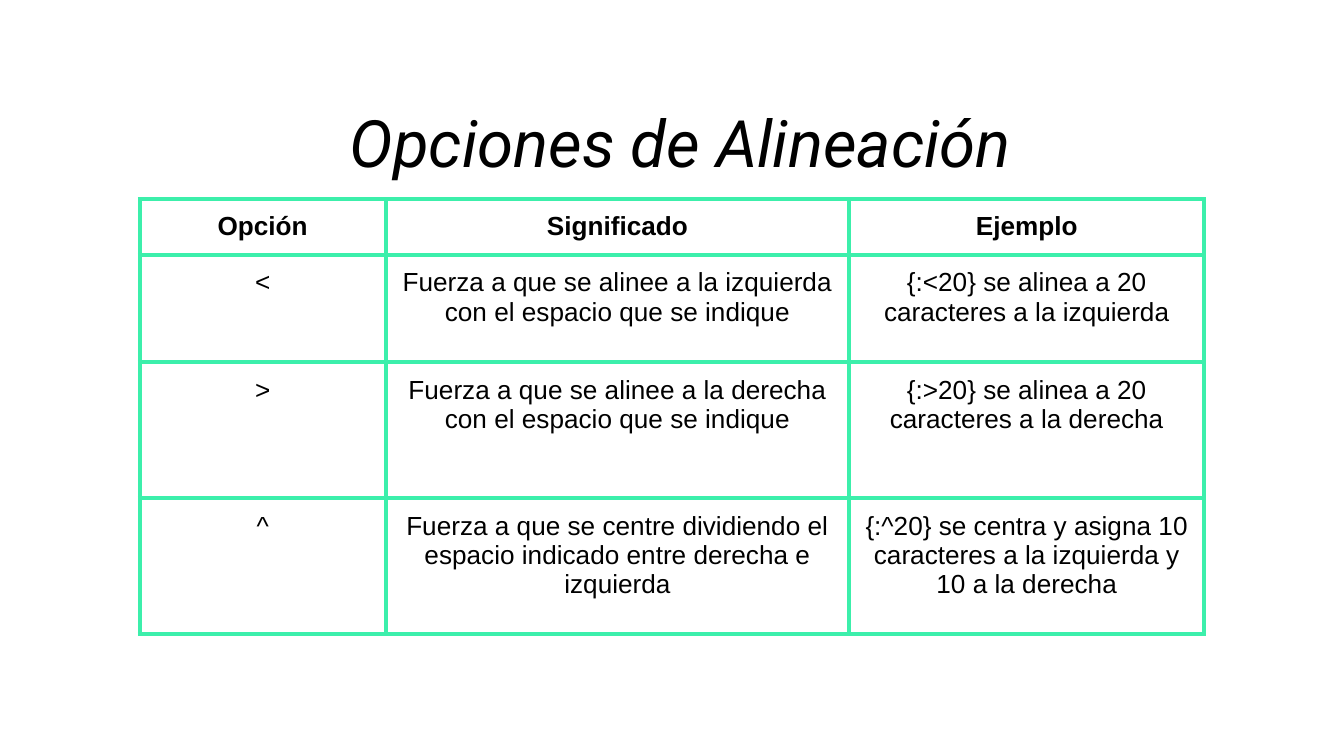
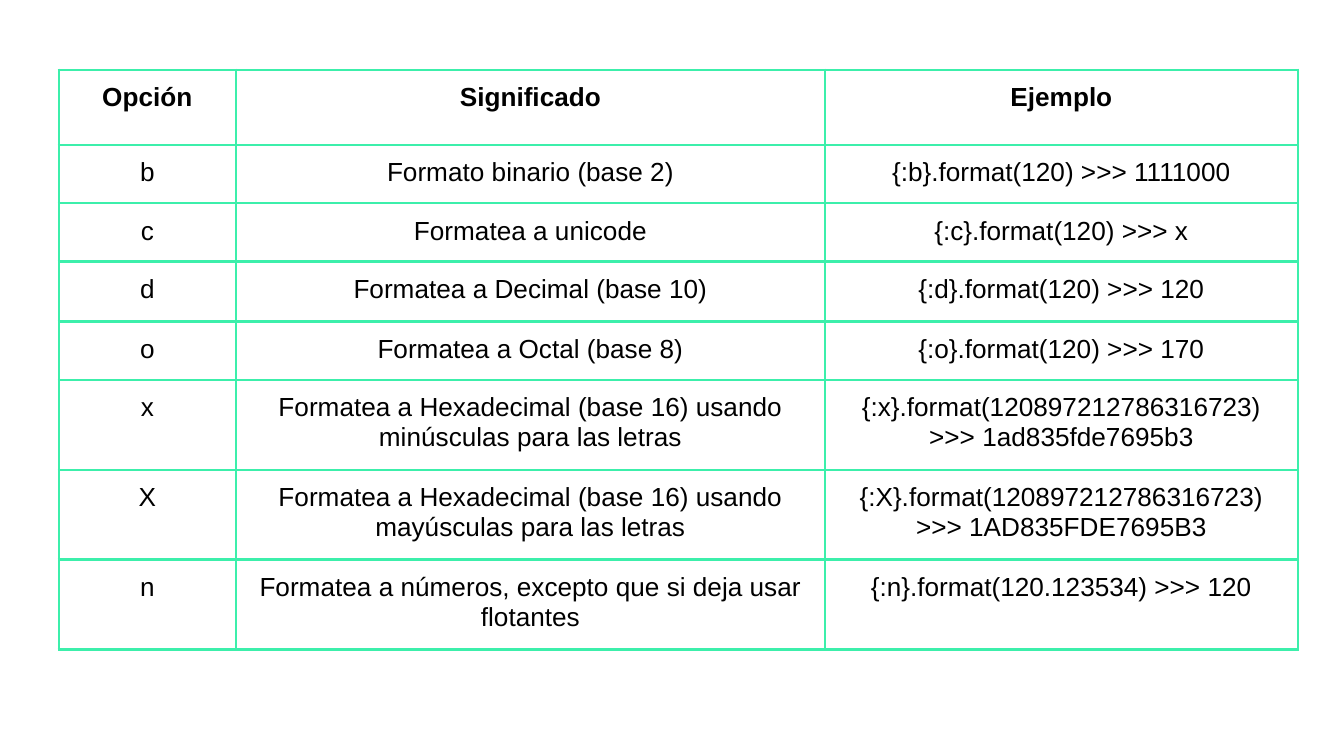
from dataclasses import dataclass

from lxml.etree import SubElement
from pptx import Presentation
from pptx.dml.color import RGBColor as RGB
from pptx.enum.text import MSO_ANCHOR as Anchor, MSO_AUTO_SIZE as AutoSize, PP_ALIGN as Align
from pptx.oxml.ns import qn
from pptx.util import Cm, Pt

# Shared style
COLORS = {"background": "FFFFFF", "text": "000000", "border": "3CEFAB"}
TITLE_FONT, BODY_FONT = "Roboto", "Arial"
INSET = Cm(0.25)
TITLE_ONLY, BLANK = 5, 6
HEADER = ("Opción", "Significado", "Ejemplo")


@dataclass(frozen=True)
class OptionTable:
    left: float
    top: float
    widths: tuple[float, ...]
    heights: tuple[float, ...]
    border: float
    rows: tuple[tuple[str, ...], ...]


ALIGNMENT = OptionTable(
    2.64, 3.76, (4.65, 8.76, 6.71), (0.99, 2.03, 2.57, 2.57), 2.25,
    (
        HEADER,
        ("<", "Fuerza a que se alinee a la izquierda con el espacio que se indique",
         "{:<20} se alinea a 20 caracteres a la izquierda"),
        (">", "Fuerza a que se alinee a la derecha con el espacio que se indique",
         "{:>20} se alinea a 20 caracteres a la derecha"),
        ("^", "Fuerza a que se centre dividiendo el espacio indicado entre derecha e izquierda",
         "{:^20} se centra y asigna 10 caracteres a la izquierda y 10 a la derecha"),
    ),
)

FORMATS = OptionTable(
    1.11, 1.32, (3.35, 11.13, 8.94), (1.42, 1.1, 1.1, 1.14, 1.1, 1.7, 1.7, 1.7), 1.5,
    (
        HEADER,
        ("b", "Formato binario (base 2)", "{:b}.format(120) >>> 1111000"),
        ("c", "Formatea a unicode", "{:c}.format(120) >>> x"),
        ("d", "Formatea a Decimal (base 10)", "{:d}.format(120) >>> 120"),
        ("o", "Formatea a Octal (base 8)", "{:o}.format(120) >>> 170"),
        ("x", "Formatea a Hexadecimal (base 16) usando minúsculas para las letras",
         "{:x}.format(120897212786316723) >>> 1ad835fde7695b3"),
        ("X", "Formatea a Hexadecimal (base 16) usando mayúsculas para las letras",
         "{:X}.format(120897212786316723) >>> 1AD835FDE7695B3"),
        ("n", "Formatea a números, excepto que si deja usar flotantes",
         "{:n}.format(120.123534) >>> 120"),
    ),
)


def add_text(tf, text: str, font: str, size: float, bold=False, italic=False) -> None:
    """Write one centred run into a text frame."""
    p = tf.paragraphs[0]
    p.alignment = Align.CENTER
    r = p.add_run()
    r.text = text
    r.font.name, r.font.size = font, Pt(size)
    r.font.bold, r.font.italic = bold, italic
    r.font.color.rgb = RGB.from_string(COLORS["text"])


def add_slide(prs, layout: int):
    s = prs.slides.add_slide(prs.slide_layouts[layout])
    s.background.fill.solid()
    s.background.fill.fore_color.rgb = RGB.from_string(COLORS["background"])
    return s


def set_title(s, text: str) -> None:
    sp = s.shapes.title
    sp.left, sp.top, sp.width, sp.height = Cm(3.12), Cm(1.3), Cm(19.5), Cm(2.74)
    tf = sp.text_frame
    tf.word_wrap, tf.auto_size = True, AutoSize.NONE
    tf.vertical_anchor = Anchor.MIDDLE
    tf.margin_left = tf.margin_right = tf.margin_top = tf.margin_bottom = INSET
    add_text(tf, text, TITLE_FONT, 35, italic=True)


def set_borders(cell, width: float) -> None:
    tc_pr = cell._tc.get_or_add_tcPr()
    for side in ("lnL", "lnR", "lnT", "lnB"):
        ln = SubElement(tc_pr, qn(f"a:{side}"), w=str(Pt(width)))
        fill = SubElement(ln, qn("a:solidFill"))
        SubElement(fill, qn("a:srgbClr"), val=COLORS["border"])


def add_option_table(s, spec_table: OptionTable) -> None:
    t = spec_table
    table = s.shapes.add_table(
        len(t.rows), len(t.widths), Cm(t.left), Cm(t.top),
        Cm(sum(t.widths)), Cm(sum(t.heights)),
    ).table
    table.first_row = table.horz_banding = False
    for column, width in zip(table.columns, t.widths):
        column.width = Cm(width)
    for row, height in zip(table.rows, t.heights):
        row.height = Cm(height)
    for i, texts in enumerate(t.rows):
        for j, text in enumerate(texts):
            cell = table.cell(i, j)
            cell.margin_left = cell.margin_right = INSET
            cell.margin_top = cell.margin_bottom = INSET
            set_borders(cell, t.border)
            cell.fill.background()
            add_text(cell.text_frame, text, BODY_FONT, 14, bold=i == 0)


def main() -> None:
    prs = Presentation()
    prs.slide_width, prs.slide_height = Cm(25.4), Cm(14.29)

    # Alignment options
    s = add_slide(prs, TITLE_ONLY)
    set_title(s, "Opciones de Alineación")
    add_option_table(s, ALIGNMENT)

    # Number format options
    s = add_slide(prs, BLANK)
    add_option_table(s, FORMATS)

    prs.save("out.pptx")


if __name__ == "__main__":
    main()
